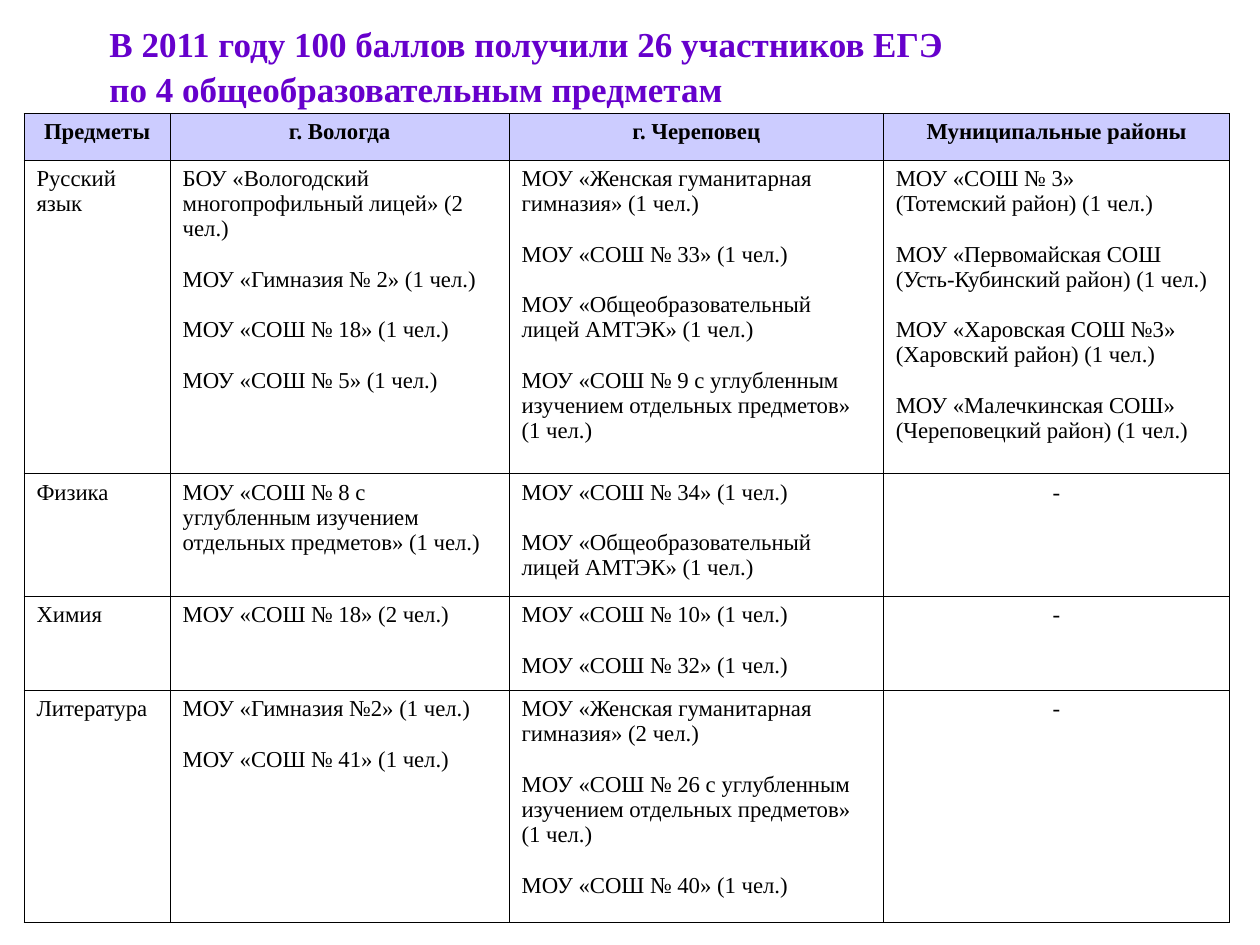
from lxml import etree
from pptx import Presentation
from pptx.dml.color import RGBColor
from pptx.enum.text import MSO_ANCHOR, PP_ALIGN
from pptx.oxml.ns import qn
from pptx.util import Inches, Pt

CENTER, LEFT = PP_ALIGN.CENTER, PP_ALIGN.LEFT
MIDDLE = MSO_ANCHOR.MIDDLE
FONT = "Times New Roman"
COLORS = {"title": "6600CC", "text": "000000", "border": "000000",
          "header": "CCCCFF", "body": "FFFFFF"}

# Content: each cell lists its schools; a line break starts a tight paragraph
TITLE = ["В 2011 году 100 баллов получили 26 участников ЕГЭ",
         "по 4 общеобразовательным предметам"]
HEADERS = ["Предметы", "г. Вологда", "г. Череповец", "Муниципальные районы"]
SUBJECTS = [
    (["Русский язык"],
     ["БОУ «Вологодский многопрофильный лицей» (2 чел.)",
      "МОУ «Гимназия № 2» (1 чел.)",
      "МОУ «СОШ № 18» (1 чел.)",
      "МОУ «СОШ № 5» (1 чел.)"],
     ["МОУ «Женская гуманитарная гимназия» (1 чел.)",
      "МОУ «СОШ № 33» (1 чел.)",
      "МОУ «Общеобразовательный лицей АМТЭК» (1 чел.)",
      "МОУ «СОШ № 9 с углубленным изучением отдельных предметов» (1 чел.)"],
     ["МОУ «СОШ № 3»\n(Тотемский район) (1 чел.)",
      "МОУ «Первомайская СОШ\n(Усть-Кубинский район) (1 чел.)",
      "МОУ «Харовская СОШ №3» (Харовский район) (1 чел.)",
      "МОУ «Малечкинская СОШ» (Череповецкий район) (1 чел.)"]),
    (["Физика"],
     ["МОУ «СОШ № 8 с углубленным изучением отдельных предметов» (1 чел.)"],
     ["МОУ «СОШ № 34» (1 чел.)",
      "МОУ «Общеобразовательный лицей АМТЭК» (1 чел.)"],
     ["-"]),
    (["Химия"],
     ["МОУ «СОШ № 18» (2 чел.)"],
     ["МОУ «СОШ № 10» (1 чел.)",
      "МОУ «СОШ № 32» (1 чел.)"],
     ["-"]),
    (["Литература"],
     ["МОУ «Гимназия №2» (1 чел.)",
      "МОУ «СОШ № 41» (1 чел.)"],
     ["МОУ «Женская гуманитарная гимназия» (2 чел.)",
      "МОУ «СОШ № 26 с углубленным изучением отдельных предметов» (1 чел.)",
      "МОУ «СОШ № 40» (1 чел.)"],
     ["-"]),
]
COLUMN_WIDTHS = [1.16, 2.69, 2.97, 2.75]
ROW_HEIGHTS = [0.37, 2.49, 0.97, 0.75, 1.84]


def write_text(frame, entries, size=13, color="text", bold=False,
               align=LEFT, gap=14.7):
    """Write entries as paragraphs, with a gap before all but the first."""
    frame.word_wrap = True
    first = True
    for entry in entries:
        for number, line in enumerate(entry.split("\n")):
            para = frame.paragraphs[0] if first else frame.add_paragraph()
            if not first and number == 0:
                para.space_before = Pt(gap)
            first = False
            para.alignment = align
            span = para.add_run()
            span.text = line
            span.font.name = FONT
            span.font.size = Pt(size)
            span.font.bold = bold
            span.font.color.rgb = RGBColor.from_string(COLORS[color])


def style_cell(cell, fill):
    """Draw the four borders, then fill the cell."""
    properties = cell._tc.get_or_add_tcPr()
    for side in ("a:lnL", "a:lnR", "a:lnT", "a:lnB"):
        line = etree.SubElement(properties, qn(side), w=str(Pt(0.45)))
        solid = etree.SubElement(line, qn("a:solidFill"))
        etree.SubElement(solid, qn("a:srgbClr"), val=COLORS["border"])
    cell.fill.solid()
    cell.fill.fore_color.rgb = RGBColor.from_string(COLORS[fill])


deck = Presentation()
deck.slide_width, deck.slide_height = Inches(10), Inches(7.5)
page = deck.slides.add_slide(deck.slide_layouts[6])

# Results table
rows = [[[header] for header in HEADERS], *SUBJECTS]
table = page.shapes.add_table(
    len(rows), len(HEADERS), Inches(0.19), Inches(0.9),
    Inches(sum(COLUMN_WIDTHS)), Inches(sum(ROW_HEIGHTS))).table
for column, width in zip(table.columns, COLUMN_WIDTHS):
    column.width = Inches(width)
for row, height in zip(table.rows, ROW_HEIGHTS):
    row.height = Inches(height)
for row_index, row in enumerate(rows):
    is_header = row_index == 0
    for column_index, entries in enumerate(row):
        cell = table.cell(row_index, column_index)
        centered = is_header or entries == ["-"]
        write_text(cell.text_frame, entries, bold=is_header,
                   align=CENTER if centered else LEFT)
        style_cell(cell, "header" if is_header else "body")

# Title
box = page.shapes.add_textbox(Inches(0.77), Inches(0.14),
                              Inches(9.02), Inches(0.77))
box.text_frame.vertical_anchor = MIDDLE
write_text(box.text_frame, TITLE, size=20, color="title", bold=True, gap=2)

deck.save("out.pptx")
